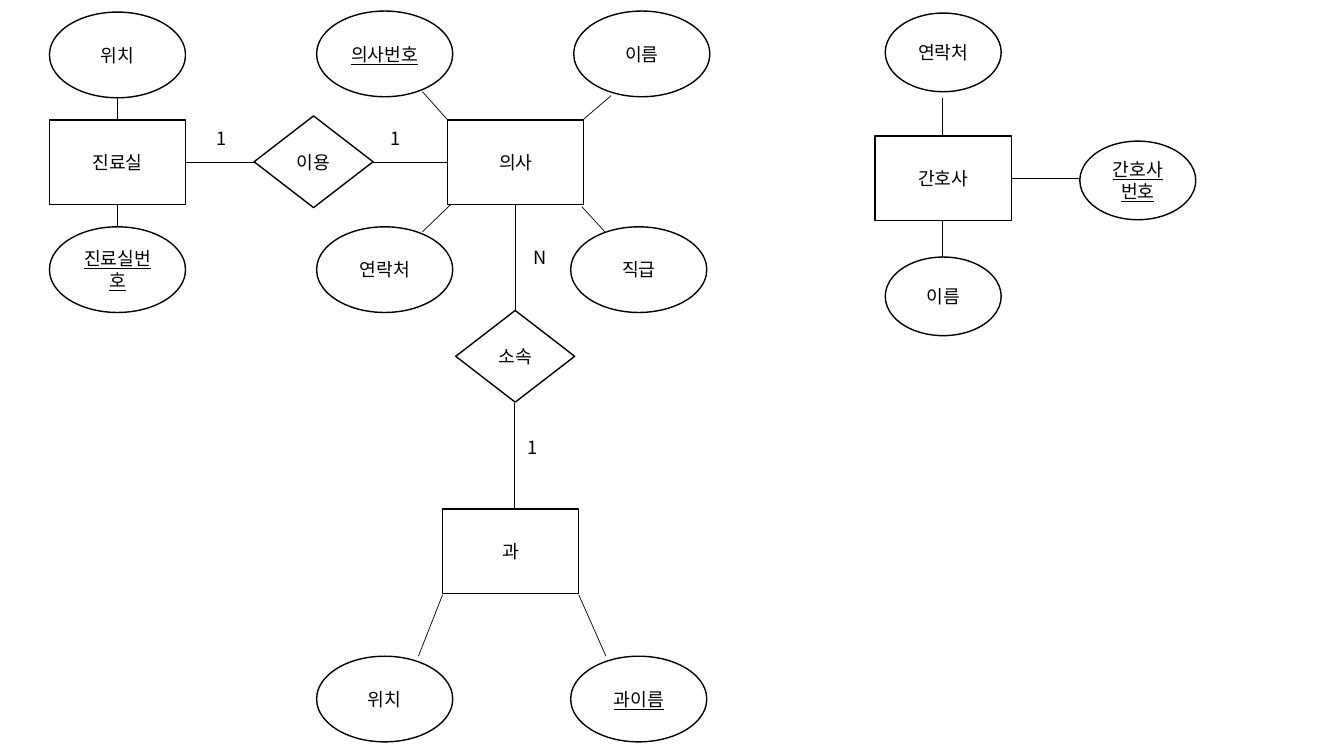
from lxml import etree
from pptx import Presentation
from pptx.dml.color import RGBColor
from pptx.enum.shapes import MSO_CONNECTOR, MSO_SHAPE
from pptx.enum.text import MSO_ANCHOR, MSO_AUTO_SIZE, PP_ALIGN
from pptx.oxml.ns import qn
from pptx.util import Inches, Pt

RECT, OVAL, DIAMOND = MSO_SHAPE.RECTANGLE, MSO_SHAPE.OVAL, MSO_SHAPE.DIAMOND
STRAIGHT = MSO_CONNECTOR.STRAIGHT
MIDDLE, CENTER, LEFT = MSO_ANCHOR.MIDDLE, PP_ALIGN.CENTER, PP_ALIGN.LEFT
FIT_SHAPE = MSO_AUTO_SIZE.SHAPE_TO_FIT_TEXT
FONT, BLACK, WHITE = "Noto Sans CJK KR", "000000", "FFFFFF"


def color(hex_string):
    """Turn a hex string into a colour."""
    return RGBColor.from_string(hex_string)


def write(tf, text, align, underline=None):
    """Put one run of diagram text into a text frame."""
    p = tf.paragraphs[0]
    p.alignment = align
    r = p.add_run()
    r.text = text
    r.font.size, r.font.name, r.font.underline = Pt(13), FONT, underline
    r.font.color.rgb = color(BLACK)
    etree.SubElement(r.font._element, qn("a:ea")).set("typeface", FONT)


prs = Presentation()
prs.slide_width, prs.slide_height = Inches(13.33), Inches(7.5)
s = prs.slides.add_slide(prs.slide_layouts[6])

# Grid: left edges of the columns and top edges of the rows, in inches
ROOM, LEFT_COL, DOCTOR, RIGHT_COL, NURSE, NURSE_ID = 0.49, 3.14, 4.44, 5.66, 8.68, 10.71
TOP, ENTITY, BELOW, DEPT, BOTTOM = 0.11, 1.19, 2.25, 5.05, 6.51
BOX, ATTR, SMALL, REL = (1.35, 0.84), (1.35, 0.85), (1.15, 0.78), (1.18, 0.91)
NURSE_ATTR = NURSE + (BOX[0] - SMALL[0]) / 2

# Kind, size, left, top, text, key attribute
nodes = [
    (RECT, BOX, DOCTOR, ENTITY, "의사", False),
    (RECT, BOX, 4.39, DEPT, "과", False),
    (RECT, BOX, ROOM, ENTITY, "진료실", False),
    (RECT, BOX, NURSE, 1.35, "간호사", False),
    (OVAL, ATTR, LEFT_COL, TOP, "의사번호", True),
    (OVAL, ATTR, 5.69, TOP, "이름", False),
    (OVAL, ATTR, LEFT_COL, BELOW, "연락처", False),
    (OVAL, ATTR, RIGHT_COL, BELOW, "직급", False),
    (OVAL, ATTR, LEFT_COL, BOTTOM, "위치", False),
    (OVAL, ATTR, RIGHT_COL, BOTTOM, "과이름", True),
    (OVAL, ATTR, ROOM, 0.12, "위치", False),
    (OVAL, ATTR, ROOM, BELOW, "진료실번호", True),
    (OVAL, SMALL, NURSE_ATTR, 0.13, "연락처", False),
    (OVAL, SMALL, NURSE_ATTR, 2.55, "이름", False),
    (OVAL, SMALL, NURSE_ID, 1.4, "간호사번호", True),
    (DIAMOND, REL, 2.52, 1.15, "이용", False),
    (DIAMOND, REL, 4.52, 3.08, "소속", False),
]
for kind, size, x, y, text, is_key in nodes:
    sp = s.shapes.add_shape(kind, *map(Inches, (x, y, *size)))
    sp.shadow.inherit = False
    if kind == DIAMOND:
        sp.fill.background()
    else:
        sp.fill.solid()
        sp.fill.fore_color.rgb = color(WHITE)
    sp.line.color.rgb = color(BLACK)
    sp.line.width = Pt(1)
    tf = sp.text_frame
    tf.word_wrap = True
    tf.vertical_anchor = MIDDLE
    write(tf, text, CENTER, is_key or None)

# Start x, start y, end x, end y
links = [
    (1.16, 0.97, 1.16, 1.19), (1.16, 2.03, 1.16, 2.25),  # room attributes
    (1.83, 1.61, 2.52, 1.61), (3.7, 1.61, 4.44, 1.61),   # room to doctor
    (4.19, 0.91, 4.44, 1.19), (5.78, 1.19, 6.06, 0.95),  # doctor attributes
    (4.47, 2.03, 4.19, 2.3), (5.77, 2.05, 6, 2.3),
    (5.11, 2.03, 5.11, 3.08), (5.1, 4, 5.1, 5.05),       # doctor to department
    (4.39, 5.9, 4.15, 6.51), (5.74, 5.9, 6.01, 6.51),    # department attributes
    (9.35, 0.97, 9.35, 1.35), (9.35, 2.19, 9.35, 2.55),  # nurse attributes
    (10.71, 1.77, 10.03, 1.77),
]
for ends in links:
    line = s.shapes.add_connector(STRAIGHT, *map(Inches, ends))
    line.line.color.rgb = color(BLACK)
    line.line.width = Pt(0.5)
    etree.SubElement(line._element.spPr, qn("a:effectLst"))

# Cardinalities beside the relationship lines
for text, x, y in [("1", 2.05, 1.21), ("1", 3.77, 1.21), ("N", 5.19, 2.39), ("1", 5.13, 4.28)]:
    tf = s.shapes.add_textbox(*map(Inches, (x, y, 0.42, 0.32))).text_frame
    tf.word_wrap = True
    tf.auto_size = FIT_SHAPE
    write(tf, text, LEFT)

prs.save("out.pptx")
